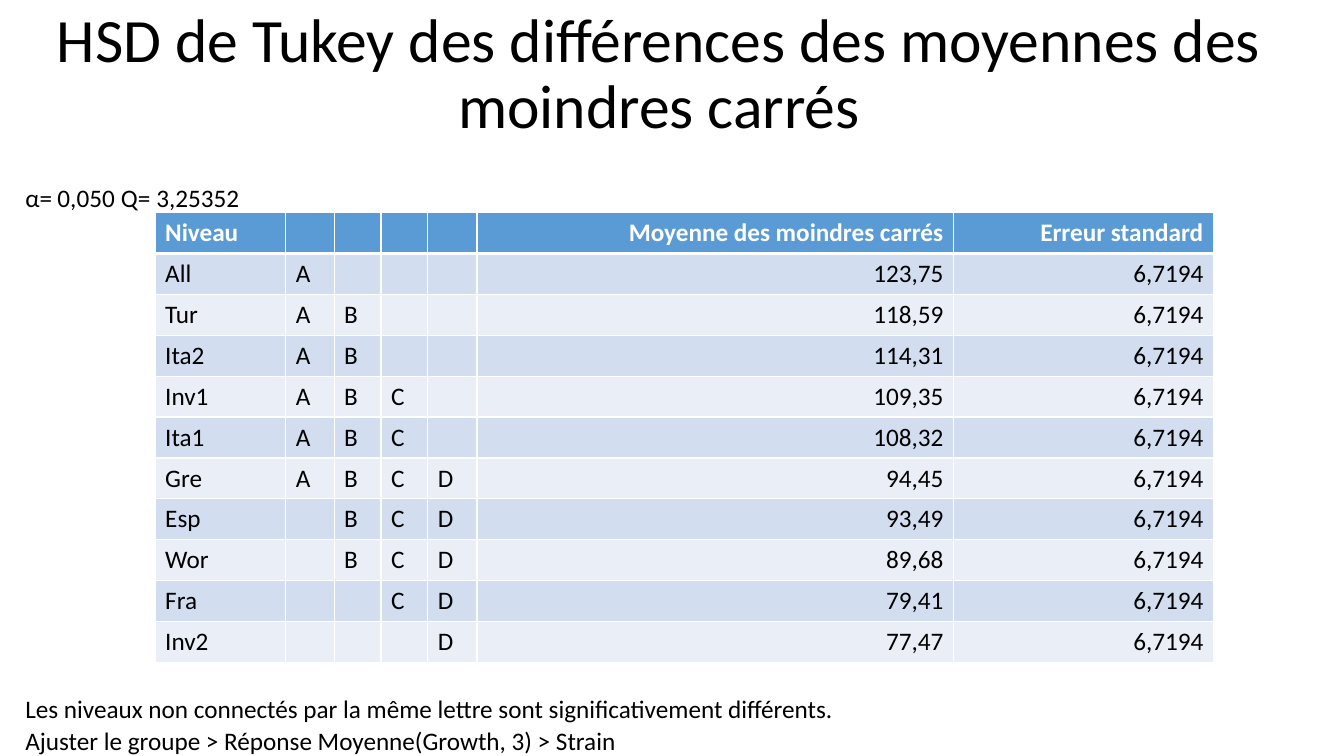
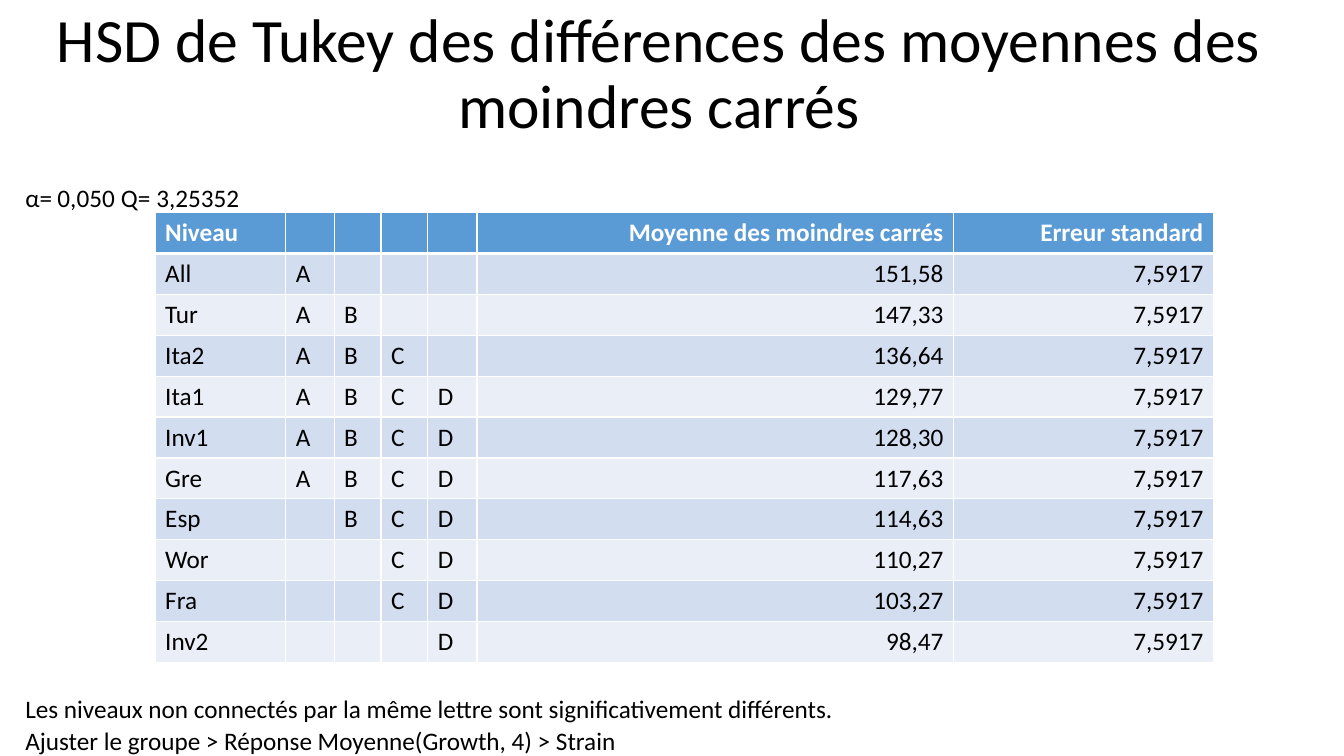
from lxml.etree import SubElement
from pptx import Presentation
from pptx.dml.color import RGBColor
from pptx.enum.text import MSO_ANCHOR, MSO_AUTO_SIZE, PP_ALIGN
from pptx.oxml.ns import qn
from pptx.util import Cm, Pt

FONT = "Calibri"
BLACK = RGBColor(0x00, 0x00, 0x00)
WHITE = RGBColor(0xFF, 0xFF, 0xFF)
HEADER_BLUE = RGBColor(0x5B, 0x9B, 0xD5)
BAND_COLORS = (RGBColor(0xD2, 0xDE, 0xEF), RGBColor(0xEA, 0xEF, 0xF7))

TITLE = "HSD de Tukey des différences des moyennes des moindres carrés"
NOTE = "Les niveaux non connectés par la même lettre sont significativement différents."
GROUPS = "ABCD"
HEADER = ["Niveau", *[""] * len(GROUPS), "Moyenne des moindres carrés", "Erreur standard"]
COLUMN_WIDTHS = (3.29, 1.22, 1.18, 1.18, 1.24, 12.01, 6.55)
FIRST_NUMBER_COLUMN = 1 + len(GROUPS)
ROW_HEIGHT = 1.02
LINE_HEIGHT = 0.79
MARGIN = 0.64

# Text, offset from the left margin and width, in centimetres
PARAMETERS = (
    ("α=", 0, 0.78),
    ("0,050", 0.81, 1.55),
    ("Q=", 2.41, 0.86),
    ("3,25352", 3.3, 2.3),
)

# Growth variable, standard error, then level, connecting letters and mean
ANALYSES = (
    (3, "6,7194", (
        ("All", "A", "123,75"),
        ("Tur", "AB", "118,59"),
        ("Ita2", "AB", "114,31"),
        ("Inv1", "ABC", "109,35"),
        ("Ita1", "ABC", "108,32"),
        ("Gre", "ABCD", "94,45"),
        ("Esp", "BCD", "93,49"),
        ("Wor", "BCD", "89,68"),
        ("Fra", "CD", "79,41"),
        ("Inv2", "D", "77,47"),
    )),
    (4, "7,5917", (
        ("All", "A", "151,58"),
        ("Tur", "AB", "147,33"),
        ("Ita2", "ABC", "136,64"),
        ("Ita1", "ABCD", "129,77"),
        ("Inv1", "ABCD", "128,30"),
        ("Gre", "ABCD", "117,63"),
        ("Esp", "BCD", "114,63"),
        ("Wor", "CD", "110,27"),
        ("Fra", "CD", "103,27"),
        ("Inv2", "D", "98,47"),
    )),
)


def format_paragraph(paragraph, size=18, color=BLACK, bold=False, alignment=PP_ALIGN.LEFT):
    paragraph.alignment = alignment
    font = paragraph.font
    font.name, font.size, font.bold = FONT, Pt(size), bold
    font.color.rgb = color


def set_title(slide, left, top, width, height):
    title = slide.shapes.title
    title.left, title.top, title.width, title.height = map(Cm, (left, top, width, height))
    frame = title.text_frame
    frame.text = TITLE
    frame.auto_size = MSO_AUTO_SIZE.NONE
    frame.vertical_anchor = MSO_ANCHOR.MIDDLE
    paragraph = frame.paragraphs[0]
    paragraph.line_spacing = 0.9
    format_paragraph(paragraph, size=44, alignment=PP_ALIGN.CENTER)


def add_line_of_text(slide, text, left, top, width):
    frame = slide.shapes.add_textbox(Cm(left), Cm(top), Cm(width), Cm(LINE_HEIGHT)).text_frame
    frame.margin_left = frame.margin_right = frame.margin_top = frame.margin_bottom = 0
    frame.word_wrap = False
    frame.auto_size = MSO_AUTO_SIZE.NONE
    frame.text = text
    format_paragraph(frame.paragraphs[0])


def add_parameters(slide, left, top):
    for text, offset, width in PARAMETERS:
        add_line_of_text(slide, text, left + offset, top, width)


def set_borders(cell, top=1, bottom=1):
    """Draw white cell borders; call before the fill, which must follow them in the XML."""
    properties = cell._tc.get_or_add_tcPr()
    for side, points in (("L", 1), ("R", 1), ("T", top), ("B", bottom)):
        line = SubElement(properties, qn(f"a:ln{side}"), w=str(Pt(points)))
        SubElement(SubElement(line, qn("a:solidFill")), qn("a:srgbClr"), val=str(WHITE))


def add_levels_table(slide, levels, standard_error, left, top):
    rows = [HEADER]
    for level, letters, mean in levels:
        marks = [group if group in letters else "" for group in GROUPS]
        rows.append([level, *marks, mean, standard_error])
    table = slide.shapes.add_table(
        len(rows), len(HEADER), Cm(left), Cm(top),
        Cm(sum(COLUMN_WIDTHS)), Cm(ROW_HEIGHT * len(rows)),
    ).table
    for column, width in zip(table.columns, COLUMN_WIDTHS):
        column.width = Cm(width)
    for row_index, row in enumerate(rows):
        is_header = row_index == 0
        fill_color = HEADER_BLUE if is_header else BAND_COLORS[(row_index - 1) % 2]
        for column_index, text in enumerate(row):
            cell = table.cell(row_index, column_index)
            set_borders(cell, top=3 if row_index == 1 else 1, bottom=3 if is_header else 1)
            cell.fill.solid()
            cell.fill.fore_color.rgb = fill_color
            cell.text = text
            format_paragraph(
                cell.text_frame.paragraphs[0],
                color=WHITE if is_header else BLACK,
                bold=is_header,
                alignment=PP_ALIGN.RIGHT if column_index >= FIRST_NUMBER_COLUMN else PP_ALIGN.LEFT,
            )


def add_footnotes(slide, growth, left, top):
    source = f"Ajuster le groupe > Réponse Moyenne(Growth, {growth}) > Strain"
    for index, (text, width) in enumerate(((NOTE, 20.8), (source, 15.2))):
        add_line_of_text(slide, text, left, top + index * LINE_HEIGHT, width)


def add_analysis_slide(presentation, growth, standard_error, levels):
    slide = presentation.slides.add_slide(presentation.slide_layouts[5])
    set_title(slide, 0, 0, 33.22, 3.81)
    add_parameters(slide, MARGIN, 4.6)
    add_levels_table(slide, levels, standard_error, 3.91, 5.36)
    add_footnotes(slide, growth, MARGIN, 17.48)


def main():
    presentation = Presentation()
    presentation.slide_width, presentation.slide_height = Cm(33.87), Cm(19.05)
    for analysis in ANALYSES:
        add_analysis_slide(presentation, *analysis)
    presentation.save("out.pptx")


if __name__ == "__main__":
    main()
